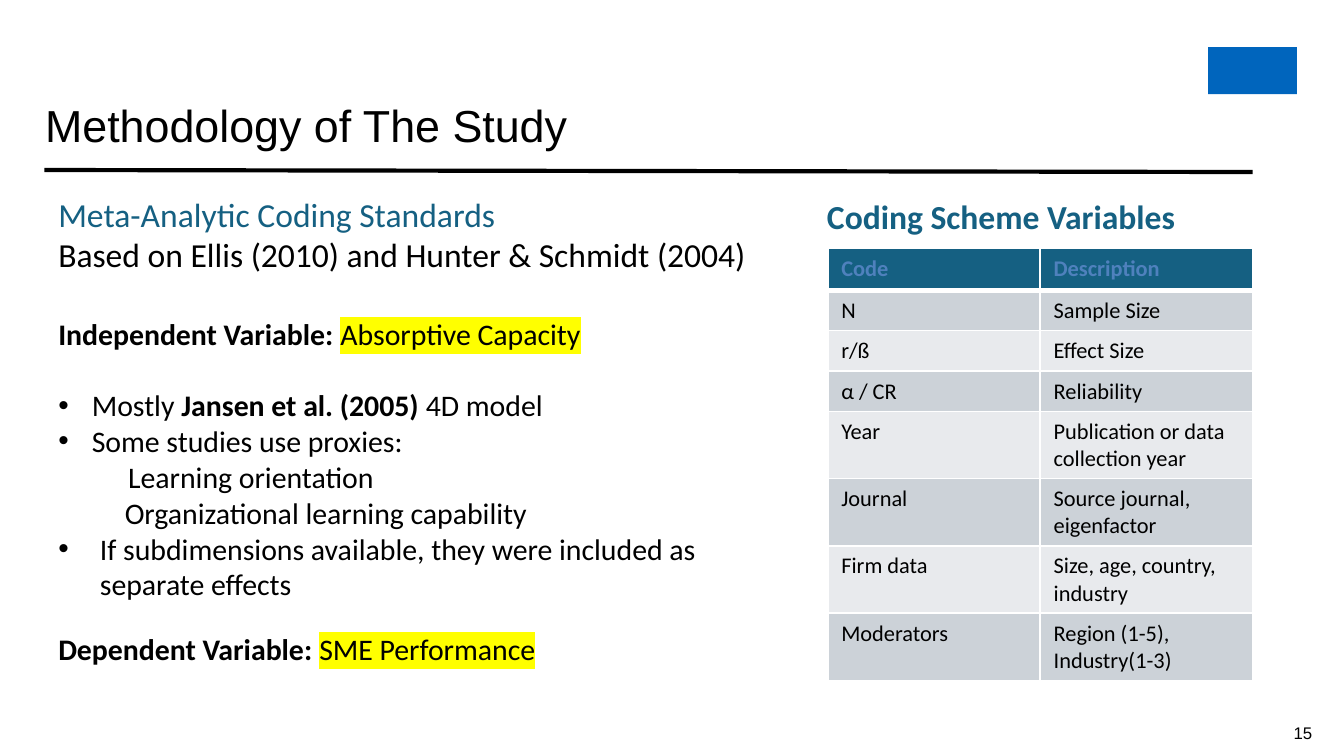
from lxml import etree
from pptx import Presentation
from pptx.dml.color import RGBColor
from pptx.enum.shapes import MSO_CONNECTOR, MSO_SHAPE
from pptx.enum.text import MSO_ANCHOR, PP_ALIGN
from pptx.oxml.ns import qn
from pptx.util import Pt

STRAIGHT = MSO_CONNECTOR.STRAIGHT
RECTANGLE = MSO_SHAPE.RECTANGLE
TOP = MSO_ANCHOR.TOP
LEFT = PP_ALIGN.LEFT

PX = 4572  # EMU in one px, 200 px to the inch
BLACK = RGBColor(0x00, 0x00, 0x00)
TEAL = RGBColor(0x15, 0x60, 0x82)
HEADER_TEXT = RGBColor(0x4F, 0x81, 0xBD)
BLUE = RGBColor(0x00, 0x65, 0xBD)
DARK_BAND = RGBColor(0xCC, 0xD2, 0xD8)
LIGHT_BAND = RGBColor(0xE8, 0xEA, 0xED)
WHITE_HEX = "FFFFFF"
YELLOW_HEX = "FFFF00"

CODING_SCHEME = [
    ("Code", "Description"),
    ("N", "Sample Size"),
    ("r/ß", "Effect Size"),
    ("α / CR", "Reliability"),
    ("Year", "Publication or data collection year"),
    ("Journal", "Source journal, eigenfactor"),
    ("Firm data", "Size, age, country, industry"),
    ("Moderators", "Region (1-5), Industry(1-3)"),
]
ROW_HEIGHTS = [62] + [60] * 3 + [100] * 4


def px(*lengths):
    return [length * PX for length in lengths]


def set_font(paragraph, size, color, name="Calibri", bold=False):
    font = paragraph.font
    font.size, font.name, font.bold = Pt(size), name, bold
    font.color.rgb = color


def add_solid_fill(parent, color_hex):
    fill = etree.SubElement(parent, qn("a:solidFill"))
    etree.SubElement(fill, qn("a:srgbClr"), val=color_hex)


def set_indent(paragraph, margin, bullet):
    properties = paragraph._p.get_or_add_pPr()
    properties.set("marL", str(margin * PX))
    properties.set("indent", str(-margin * PX if bullet else 0))
    if bullet:
        etree.SubElement(properties, qn("a:buFont"), typeface="Arial")
        etree.SubElement(properties, qn("a:buChar"), char="•")


def clear_insets(frame):
    frame.margin_left = frame.margin_right = 0
    frame.margin_top = frame.margin_bottom = 0


def add_text_box(slide, box):
    frame = slide.shapes.add_textbox(*px(*box)).text_frame
    frame.word_wrap = True
    return frame


def next_paragraph(frame):
    first = frame.paragraphs[0]
    return frame.add_paragraph() if first.runs else first


def add_line(frame, text, size, color, **font):
    paragraph = next_paragraph(frame)
    paragraph.add_run().text = text
    set_font(paragraph, size, color, **font)
    return paragraph


def add_variable(frame, label, value):
    """Bold label followed by a highlighted value."""
    paragraph = next_paragraph(frame)
    set_font(paragraph, 16, BLACK)
    label_run = paragraph.add_run()
    label_run.text, label_run.font.bold = label, True
    value_run = paragraph.add_run()
    value_run.text = value
    highlight = etree.SubElement(value_run._r.get_or_add_rPr(), qn("a:highlight"))
    etree.SubElement(highlight, qn("a:srgbClr"), val=YELLOW_HEX)


def add_item(frame, parts, margin, bullet=True):
    """List item; every second part is bold."""
    paragraph = next_paragraph(frame)
    set_indent(paragraph, margin, bullet)
    set_font(paragraph, 16, BLACK)
    for index, text in enumerate(parts):
        run = paragraph.add_run()
        run.text = text
        if index % 2:
            run.font.bold = True
    return paragraph


def add_title(slide, text):
    title = slide.shapes.title
    title.left, title.top, title.width, title.height = px(67, 146, 1202, 416)
    frame = title.text_frame
    frame.vertical_anchor = TOP
    clear_insets(frame)
    add_line(frame, text, 24, BLACK, name="Arial").alignment = LEFT


def add_rule(slide):
    rule = slide.shapes.add_connector(STRAIGHT, *px(66, 253, 1864, 256))
    rule.line.color.rgb = BLACK
    rule.line.width = Pt(2.25)
    etree.SubElement(rule._element.spPr, qn("a:effectLst"))


def add_logo_block(slide):
    block = slide.shapes.add_shape(RECTANGLE, *px(1798, 70, 132, 70))
    block.shadow.inherit = False
    block.fill.solid()
    block.fill.fore_color.rgb = BLUE
    block.line.fill.background()


def set_borders(cell, bottom):
    properties = cell._tc.get_or_add_tcPr()
    for side, width in (("L", 1), ("R", 1), ("T", 1), ("B", bottom)):
        border = etree.SubElement(properties, qn(f"a:ln{side}"), w=str(Pt(width)))
        add_solid_fill(border, WHITE_HEX)


def add_coding_table(slide):
    box = px(1232, 370, 632, sum(ROW_HEIGHTS))
    table = slide.shapes.add_table(len(CODING_SCHEME), 2, *box).table
    for column in table.columns:
        column.width = 316 * PX
    for row_index, (texts, height) in enumerate(zip(CODING_SCHEME, ROW_HEIGHTS)):
        header = row_index == 0
        band = DARK_BAND if row_index % 2 else LIGHT_BAND
        table.rows[row_index].height = height * PX
        for column_index, text in enumerate(texts):
            cell = table.cell(row_index, column_index)
            set_borders(cell, bottom=3 if header else 1)
            cell.fill.solid()
            cell.fill.fore_color.rgb = TEAL if header else band
            color = HEADER_TEXT if header else BLACK
            add_line(cell.text_frame, text, 12, color, bold=header)


def main():
    presentation = Presentation()
    presentation.slide_width, presentation.slide_height = px(2000, 1125)
    slide = presentation.slides.add_slide(presentation.slide_layouts[5])

    # Header
    add_logo_block(slide)
    add_rule(slide)
    add_title(slide, "Methodology of The Study")

    # Coding standards
    standards = add_text_box(slide, (67, 278, 1082, 142))
    add_line(standards, "Meta-Analytic Coding Standards", 18, TEAL)
    add_line(standards, "Based on Ellis (2010) and Hunter & Schmidt (2004)", 18, BLACK)

    # Variables
    independent = add_text_box(slide, (67, 460, 1038, 452))
    add_variable(independent, "Independent Variable: ", "Absorptive Capacity")
    model = add_item(independent, ["Mostly ", "Jansen et al. (2005)", " 4D model"], 50)
    model.space_before = Pt(19)
    add_item(independent, ["Some studies use proxies:"], 50)
    add_item(independent, ["Learning orientation"], 104, bullet=False)
    add_item(independent, ["Organizational learning capability"], 99, bullet=False)
    add_item(independent, ["If subdimensions available, they were included as  separate effects"], 62)
    dependent = add_text_box(slide, (67, 929, 858, 74))
    add_variable(dependent, "Dependent Variable: ", "SME Performance")

    # Coding scheme
    add_coding_table(slide)
    scheme = add_text_box(slide, (1211, 282, 600, 80))
    add_line(scheme, "Coding Scheme Variables", 18, TEAL, bold=True)

    # Slide number
    number = add_text_box(slide, (1925, 1070, 34, 34))
    clear_insets(number)
    add_line(number, "15", 9, BLACK, name="Arial").line_spacing = Pt(12.6)

    presentation.save("out.pptx")


if __name__ == "__main__":
    main()
